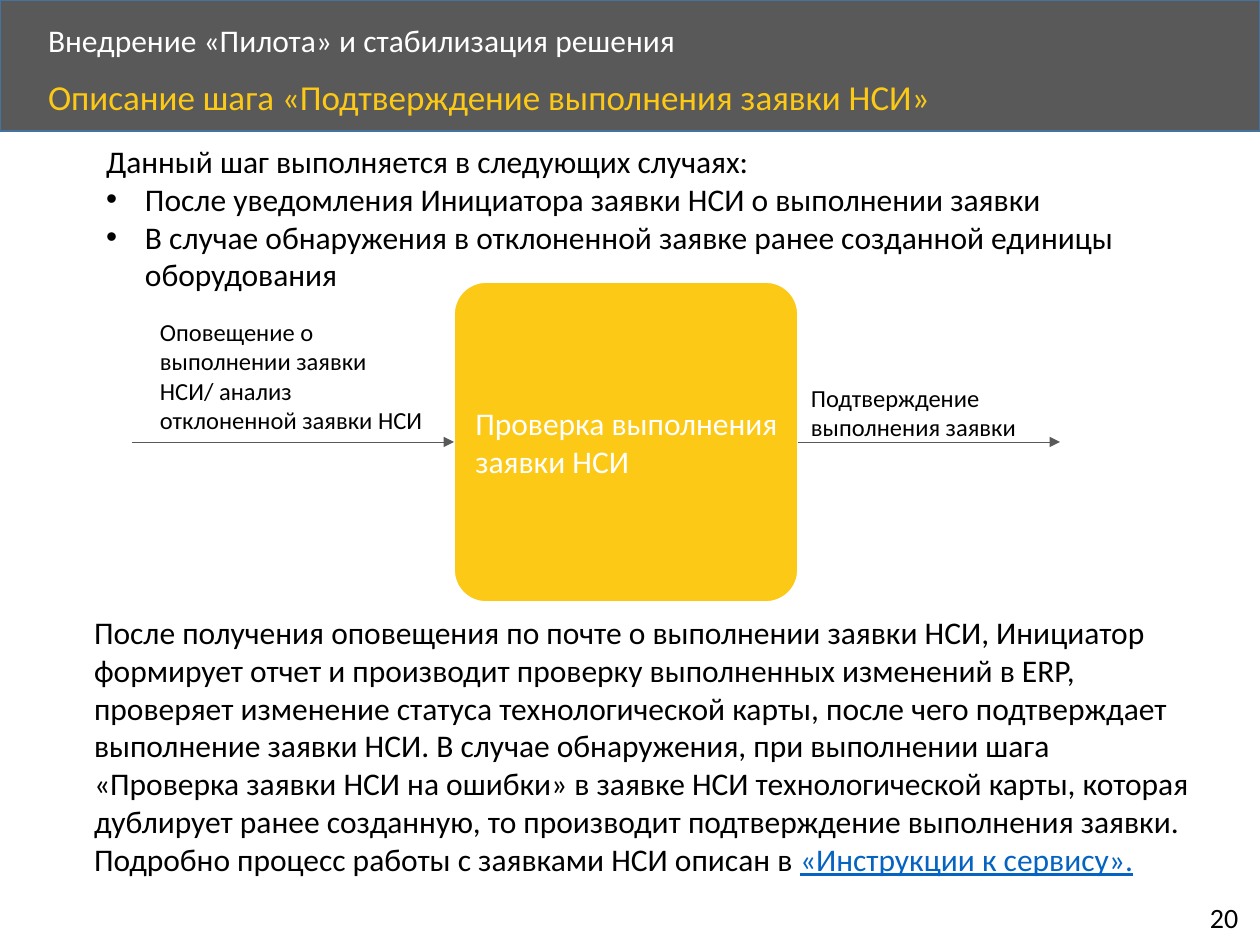
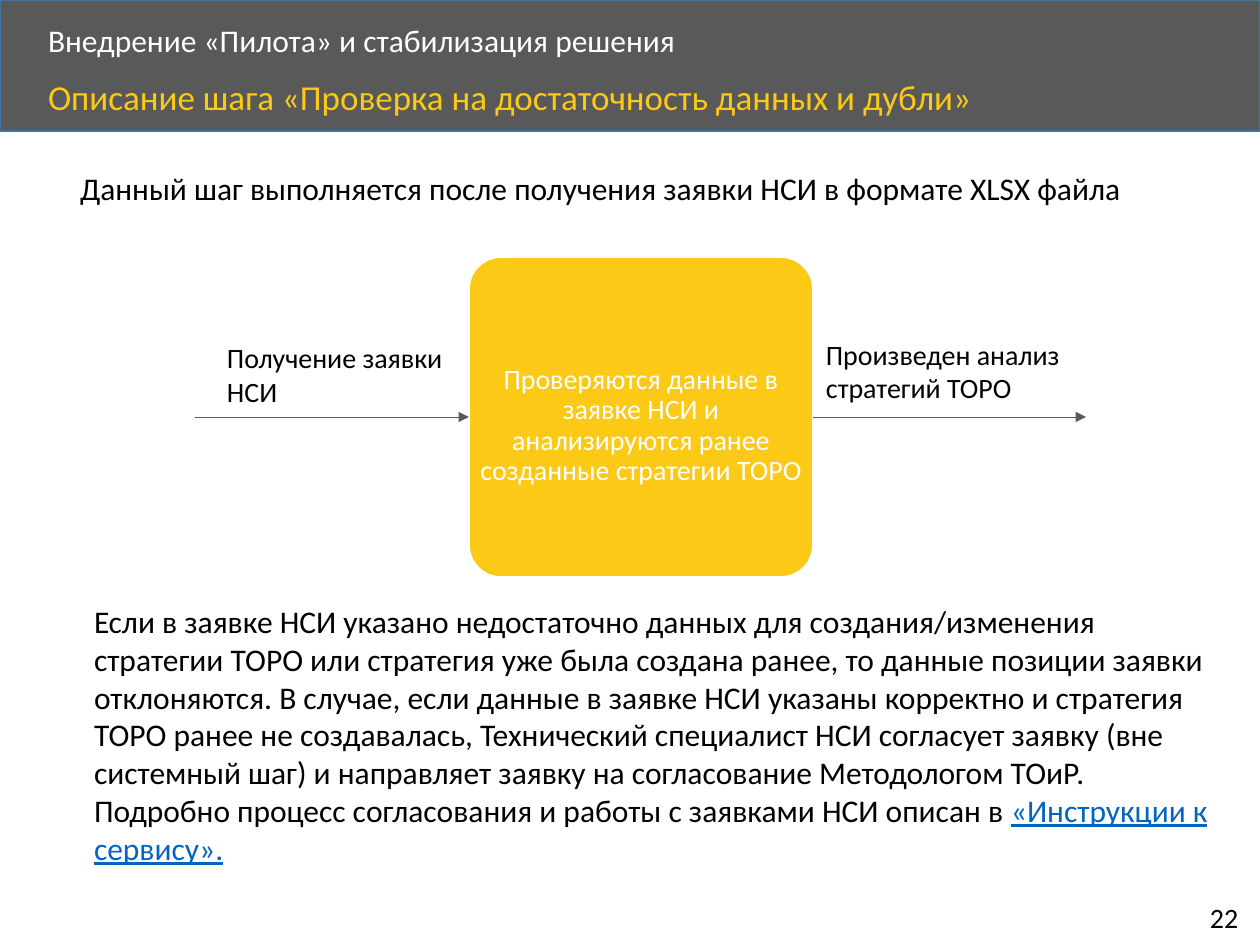
from pptx import Presentation
from pptx.dml.color import RGBColor
from pptx.enum.shapes import MSO_CONNECTOR, MSO_SHAPE
from pptx.enum.text import MSO_ANCHOR, MSO_AUTO_SIZE, PP_ALIGN
from pptx.oxml.ns import qn
from pptx.util import Inches, Pt
from lxml.etree import SubElement

SCALE = Inches(1) / 126
FONT = "Calibri"
GREY, GOLD, BLUE = "595959", "FCC917", "43739E"
WHITE, BLACK, LINK = "FFFFFF", "000000", "0563C1"
SIDE = 13  # usual side inset of a text frame
GUIDE = "«Инструкции к сервису»."


def px(*nums):
    return [round(n * SCALE) for n in nums]


def paint(color, code):
    color.rgb = RGBColor.from_string(code)


def write(frame, *paras, size=18, color=BLACK, align=PP_ALIGN.LEFT,
          anchor=MSO_ANCHOR.TOP, lead=1.0, bullet=False, link="",
          inset=(SIDE, 6, SIDE, 6)):
    """Fill a frame; bullet marks all but the first paragraph, link ends the last."""
    frame.word_wrap = True
    frame.auto_size = MSO_AUTO_SIZE.NONE
    frame.vertical_anchor = anchor
    (frame.margin_left, frame.margin_top,
     frame.margin_right, frame.margin_bottom) = px(*inset)
    for i, text in enumerate(paras):
        para = frame.paragraphs[0] if i == 0 else frame.add_paragraph()
        props = para._p.get_or_add_pPr()
        dot = bullet and i > 0
        hang = px(39)[0] if dot else 0
        props.set("marL", str(hang))
        props.set("indent", str(-hang))
        if dot:
            SubElement(props, qn("a:buFont"), typeface="Arial")
            SubElement(props, qn("a:buChar"), char="•")
        else:
            SubElement(props, qn("a:buNone"))
        para.alignment = align
        para.line_spacing = lead
        para.space_before = Pt(0)
        para.font.size = Pt(size)
        last = link if i == len(paras) - 1 else ""
        for part, code in ((text, color), (last, LINK)):
            if part:
                run = para.add_run()
                run.text = part
                run.font.name = FONT
                run.font.size = Pt(size)
                run.font.underline = True if part == last else None
                paint(run.font.color, code)


class Deck:
    def __init__(self):
        self.file = Presentation()
        self.file.slide_width, self.file.slide_height = px(1260, 945)
        self.slide = None

    def page(self, title, num):
        """Start a slide with the band, both headings and the number."""
        self.slide = self.file.slides.add_slide(self.file.slide_layouts[1])
        band = self.block(MSO_SHAPE.RECTANGLE, (0, 0, 1260, 131), GREY, BLUE)
        tree = band._element.getparent()
        tree.insert(2, band._element)  # behind the title
        self.label((35, 18, 1017, 48), "Внедрение «Пилота» и стабилизация решения",
                   color=WHITE, anchor=MSO_ANCHOR.MIDDLE, lead=0.9)
        self.holder(0, (35, 74, 1092, 57), title, size=20, color=GOLD, lead=0.9)
        self.label((1197, 895, 58, 47), str(num), size=16)

    def holder(self, idx, spot, *paras, **style):
        item = self.slide.placeholders[idx]
        item.left, item.top, item.width, item.height = px(*spot)
        write(item.text_frame, *paras, **style)

    def label(self, spot, *paras, **style):
        box = self.slide.shapes.add_textbox(*px(*spot))
        write(box.text_frame, *paras, **style)

    def block(self, kind, spot, fill, line):
        shape = self.slide.shapes.add_shape(kind, *px(*spot))
        shape.shadow.inherit = False
        shape.fill.solid()
        paint(shape.fill.fore_color, fill)
        paint(shape.line.color, line)
        shape.line.width = Pt(1)
        return shape

    def arrow(self, x1, x2, y):
        line = self.slide.shapes.add_connector(
            MSO_CONNECTOR.STRAIGHT, *px(x1, y, x2, y))
        paint(line.line.color, GREY)
        line.line.width = Pt(0.5)
        SubElement(line.line._get_or_add_ln(), qn("a:tailEnd"), type="triangle")
        SubElement(line._element.spPr, qn("a:effectLst"))
        return line

    def step(self, left, top, start, end, text, **style):
        """Draw the gold box with one arrow in and one arrow out."""
        wide, high = 344, 320
        box = self.block(MSO_SHAPE.ROUNDED_RECTANGLE,
                         (left, top, wide, high), GOLD, WHITE)
        box.adjustments[0] = 0.1
        write(box.text_frame, text, color=WHITE,
              anchor=MSO_ANCHOR.MIDDLE, **style)
        mid = top + high // 2
        self.arrow(start, left, mid).end_connect(box, 1)
        self.arrow(left + wide, end, mid).begin_connect(box, 3)


def main():
    deck = Deck()

    # Confirming the request
    deck.page("Описание шага «Подтверждение выполнения заявки НСИ»", 20)
    deck.holder(1, (93, 136, 1103, 165),
                "Данный шаг выполняется в следующих случаях:",
                "После уведомления Инициатора заявки НСИ о выполнении заявки",
                "В случае обнаружения в отклоненной заявке ранее созданной "
                "единицы оборудования", bullet=True)
    deck.step(454, 282, 132, 1060, "Проверка выполнения заявки НСИ",
              inset=(12, 6, 9, 6))
    deck.label((147, 311, 291, 131), "Оповещение о выполнении заявки НСИ/ "
               "анализ отклоненной заявки НСИ", size=14)
    deck.label((798, 377, 237, 72), "Подтверждение выполнения заявки", size=14)
    deck.label((81, 607, 1128, 318),
               "После получения оповещения по почте о выполнении заявки НСИ, "
               "Инициатор формирует отчет и производит проверку выполненных "
               "изменений в ERP, проверяет изменение статуса технологической "
               "карты, после чего подтверждает выполнение заявки НСИ. В случае "
               "обнаружения, при выполнении шага «Проверка заявки НСИ на ошибки» "
               "в заявке НСИ технологической карты, которая дублирует ранее "
               "созданную, то производит подтверждение выполнения заявки. "
               "Подробно процесс работы c заявками НСИ описан в ", link=GUIDE)

    # Checking the data
    deck.page("Описание шага «Проверка на достаточность данных и дубли»", 22)
    deck.holder(1, (67, 163, 1119, 50), "Данный шаг выполняется после "
                "получения заявки НСИ в формате XLSX файла")
    deck.step(469, 257, 195, 1086, "Проверяются данные в заявке НСИ и "
              "анализируются ранее созданные стратегии ТОРО",
              size=16, align=PP_ALIGN.CENTER, lead=0.9, inset=(0, 19, 0, 1))
    deck.label((214, 335, 294, 81), "Получение заявки НСИ", size=16)
    deck.label((813, 331, 263, 81), "Произведен анализ стратегий ТОРО", size=16)
    deck.label((81, 596, 1143, 318),
               "Если в заявке НСИ указано недостаточно данных для "
               "создания/изменения стратегии ТОРО или стратегия уже была создана "
               "ранее, то данные позиции заявки отклоняются. В случае, если "
               "данные в заявке НСИ указаны корректно и стратегия ТОРО ранее не "
               "создавалась, Технический специалист НСИ согласует заявку (вне "
               "системный шаг) и направляет заявку на согласование Методологом "
               "ТОиР. Подробно процесс согласования и работы c заявками НСИ "
               "описан в ", link=GUIDE)

    deck.file.save("out.pptx")


if __name__ == "__main__":
    main()
